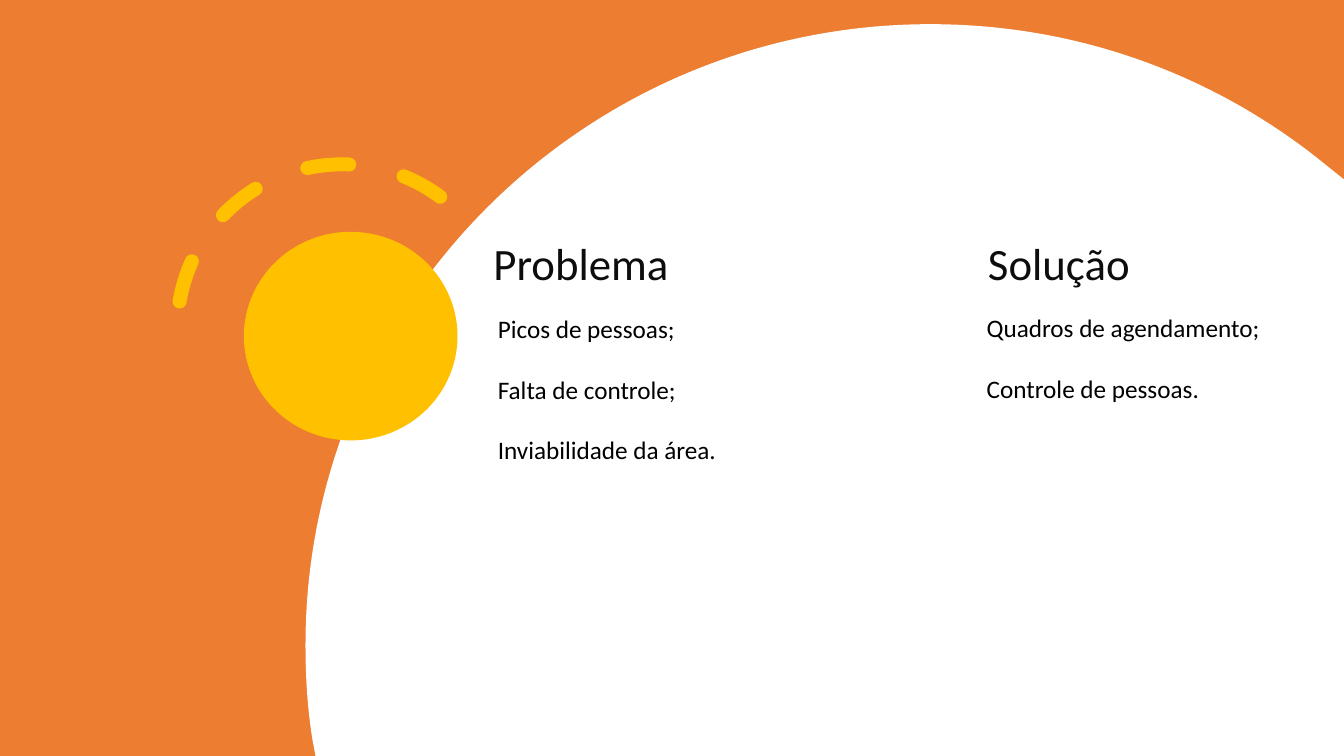
from dataclasses import dataclass

from lxml import etree
from pptx import Presentation
from pptx.dml.color import RGBColor
from pptx.enum import dml, shapes, text
from pptx.oxml.ns import qn
from pptx.util import Pt


@dataclass(frozen=True)
class Theme:
    orange: RGBColor = RGBColor(0xED, 0x7D, 0x31)
    yellow: RGBColor = RGBColor(0xFF, 0xC0, 0x00)
    white: RGBColor = RGBColor(0xFF, 0xFF, 0xFF)
    heading_ink: RGBColor = RGBColor(0x0D, 0x0D, 0x0D)
    body_ink: RGBColor = RGBColor(0, 0, 0)
    font: str = "Calibri"
    heading_size: float = 32
    body_size: float = 18
    item_gap: float = 21.7


@dataclass(frozen=True)
class Box:
    left: float
    top: float
    width: float
    height: float

    def lengths(self) -> tuple:
        return Pt(self.left), Pt(self.top), Pt(self.width), Pt(self.height)


@dataclass(frozen=True)
class Stretch:
    """One piece of an outline: straight, or a curve with two controls."""
    end: tuple[float, float]
    controls: tuple[tuple[float, float], ...] = ()


@dataclass(frozen=True)
class Column:
    heading: str
    heading_box: Box
    items: tuple[str, ...]
    items_box: Box


THEME = Theme()
WIDTH, HEIGHT = 960, 540
DOME_TOP = (664.6, 17.3)
DOME = (
    Stretch((948.2, 118.8), ((772.6, 17.3), (871.2, 55.4))),
    Stretch((WIDTH, 128.2)),
    Stretch((WIDTH, HEIGHT)),
    Stretch((225.4, HEIGHT)),
    Stretch((223.2, 528.5)),
    Stretch((218.2, 460.8), ((219.6, 506.2), (218.2, 483.8))),
    Stretch(DOME_TOP, ((218.2, 216), (418.3, 17.3))),
)
PROBLEM = Column(
    "Problema", Box(343.4, 168.5, 143.3, 42.5),
    ("Picos de pessoas;", "Falta de controle;", "Inviabilidade da área."),
    Box(348.5, 220.3, 179.3, 116.6),
)
SOLUTION = Column(
    "Solução", Box(697.7, 168.5, 117.4, 42.5),
    ("Quadros de agendamento;", "Controle de pessoas."),
    Box(697.7, 219.6, 244.1, 94.3),
)


def paint(shape, color: RGBColor) -> None:
    shape.shadow.inherit = False
    shape.fill.solid()
    shape.fill.fore_color.rgb = color
    shape.line.fill.background()


def add_filled(slide, kind, box: Box, color: RGBColor) -> None:
    paint(slide.shapes.add_shape(kind, *box.lengths()), color)


def add_white_dome(slide) -> None:
    builder = slide.shapes.build_freeform(*map(Pt, DOME_TOP))
    builder.add_line_segments([tuple(map(Pt, part.end)) for part in DOME])
    dome = builder.convert_to_shape()
    paint(dome, THEME.white)

    # Bend the curved stretches: controls go ahead of each end point
    segments = list(dome.element.spPr.iter(qn("a:lnTo")))
    for segment, part in zip(segments, DOME):
        if not part.controls:
            continue
        curve = etree.Element(qn("a:cubicBezTo"))
        for x, y in part.controls:
            etree.SubElement(curve, qn("a:pt"),
                             x=str(Pt(x) - dome.left), y=str(Pt(y) - dome.top))
        curve.append(segment[0])
        segment.getparent().replace(segment, curve)


def add_sun_rays(slide) -> None:
    rays = slide.shapes.add_shape(
        shapes.MSO_SHAPE.ARC, *Box(126.7, 117.4, 235.4, 235.4).lengths())
    rays.shadow.inherit = False
    rays.rotation = 308.7
    rays.adjustments[0] = 144.56
    rays.adjustments[1] = 2.28
    rays.fill.background()
    rays.line.color.rgb = THEME.yellow
    rays.line.width = Pt(10)
    rays.line.dash_style = dml.MSO_LINE.DASH
    rays.element.spPr.find(qn("a:ln")).set("cap", "rnd")


def style_runs(paragraph, size: float, color: RGBColor) -> None:
    for run in paragraph.runs:
        run.font.name = THEME.font
        run.font.size = Pt(size)
        run.font.color.rgb = color


def write_heading(holder, heading: str) -> None:
    frame = holder.text_frame
    frame.text = heading
    frame.word_wrap = True
    frame.auto_size = text.MSO_AUTO_SIZE.NONE
    frame.vertical_anchor = text.MSO_ANCHOR.BOTTOM
    line = frame.paragraphs[0]
    line.alignment = text.PP_ALIGN.CENTER
    line.line_spacing = 0.9
    line.space_before = Pt(0)
    style_runs(line, THEME.heading_size, THEME.heading_ink)


def add_items(slide, column: Column) -> None:
    frame = slide.shapes.add_textbox(*column.items_box.lengths()).text_frame
    frame.word_wrap = True
    frame.auto_size = text.MSO_AUTO_SIZE.SHAPE_TO_FIT_TEXT
    frame.text = "\n".join(column.items)
    for item in frame.paragraphs:
        style_runs(item, THEME.body_size, THEME.body_ink)
    for item in frame.paragraphs[:-1]:
        item.space_after = Pt(THEME.item_gap)


def main() -> None:
    deck = Presentation()
    deck.slide_width, deck.slide_height = Pt(WIDTH), Pt(HEIGHT)
    slide = deck.slides.add_slide(deck.slide_layouts[5])

    # Backdrop and sun
    add_filled(slide, shapes.MSO_SHAPE.RECTANGLE, Box(0, 0, WIDTH, HEIGHT), THEME.orange)
    add_white_dome(slide)
    add_filled(slide, shapes.MSO_SHAPE.OVAL, Box(174.2, 165.6, 152.6, 149), THEME.yellow)
    add_sun_rays(slide)

    # Problem column: the slide title, brought in front of the backdrop
    title = slide.shapes.title
    title.left, title.top, title.width, title.height = PROBLEM.heading_box.lengths()
    title.element.getparent().append(title.element)
    write_heading(title, PROBLEM.heading)
    add_items(slide, PROBLEM)

    # Solution column
    solution = slide.shapes.add_textbox(*SOLUTION.heading_box.lengths())
    write_heading(solution, SOLUTION.heading)
    add_items(slide, SOLUTION)

    deck.save("out.pptx")


if __name__ == "__main__":
    main()
